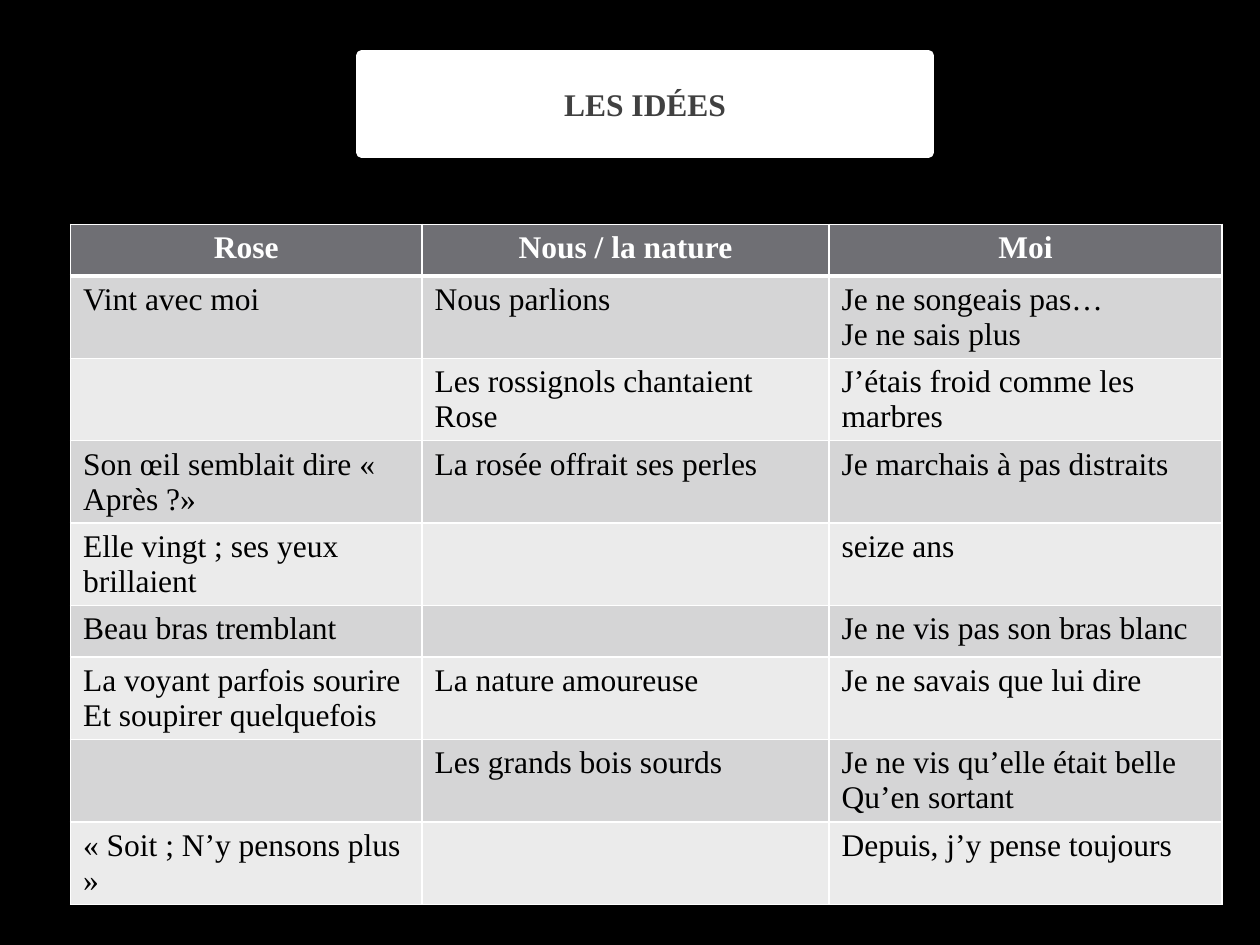
from lxml.etree import SubElement
from pptx import Presentation
from pptx.dml.color import RGBColor
from pptx.enum.text import MSO_ANCHOR, PP_ALIGN
from pptx.oxml.ns import qn
from pptx.util import Inches, Pt

TITLE = "LES IDÉES"
# A line feed starts a paragraph, a vertical tab breaks a line
ROWS = [
    ("Rose", "Nous / la nature", "Moi"),
    ("Vint avec moi", "Nous parlions", "Je ne songeais pas… \vJe ne sais plus"),
    ("", "Les rossignols chantaient Rose", "J’étais froid comme les marbres"),
    ("Son œil semblait dire « Après ?»", "La rosée offrait ses perles",
     "Je marchais à pas distraits"),
    ("Elle vingt ; ses yeux brillaient", "", "seize ans"),
    ("Beau bras tremblant", "", "Je ne vis pas son bras blanc"),
    ("La voyant parfois sourire\nEt soupirer quelquefois", "La nature amoureuse",
     "Je ne savais que lui dire"),
    ("", "Les grands bois sourds", "Je ne vis qu’elle était belle \vQu’en sortant"),
    ("« Soit ; N’y pensons plus »", "", "Depuis, j’y pense toujours"),
]
COLUMN_WIDTHS = (2.79, 3.23, 3.12)
ROW_HEIGHT = 0.41

BLACK = RGBColor(0x00, 0x00, 0x00)
WHITE = RGBColor(0xFF, 0xFF, 0xFF)
TITLE_GREY = RGBColor(0x40, 0x40, 0x40)
HEADER_GREY = RGBColor(0x6F, 0x6F, 0x74)
BANDS = (RGBColor(0xEB, 0xEB, 0xEB), RGBColor(0xD5, 0xD5, 0xD6))
FONT = {"name": "Times New Roman", "size": Pt(18)}


def format_text(frame, color, bold, align):
    for para in frame.paragraphs:
        para.alignment = align
        for name, value in {**FONT, "bold": bold}.items():
            setattr(para.font, name, value)
        para.font.color.rgb = color
        for span in para.runs:
            for name, value in {**FONT, "bold": bold}.items():
                setattr(span.font, name, value)
            span.font.color.rgb = color


def add_borders(cell, top, bottom):
    properties = cell._tc.get_or_add_tcPr()
    for side, width in (("L", 1), ("R", 1), ("T", top), ("B", bottom)):
        line = SubElement(properties, qn(f"a:ln{side}"), w=str(Pt(width)))
        fill = SubElement(line, qn("a:solidFill"))
        SubElement(fill, qn("a:srgbClr"), val=str(WHITE))


def add_title(page):
    box = page.shapes.title
    box.left, box.top, box.width, box.height = map(Inches, (2.87, 0.44, 4.5, 0.77))
    box.fill.solid()
    box.fill.fore_color.rgb = WHITE
    box.line.color.rgb = WHITE
    box.line.width = Pt(6)
    frame = box.text_frame
    frame.text = TITLE
    frame.vertical_anchor = MSO_ANCHOR.MIDDLE
    frame.paragraphs[0].space_before = Pt(4)
    format_text(frame, TITLE_GREY, True, PP_ALIGN.CENTER)


def add_ideas_table(page):
    table = page.shapes.add_table(
        len(ROWS), len(COLUMN_WIDTHS), Inches(0.56), Inches(1.78),
        Inches(sum(COLUMN_WIDTHS)), Inches(ROW_HEIGHT * len(ROWS))).table
    for column, width in zip(table.columns, COLUMN_WIDTHS):
        column.width = Inches(width)
    for r, texts in enumerate(ROWS):
        table.rows[r].height = Inches(ROW_HEIGHT)
        header = r == 0
        for c, text in enumerate(texts):
            cell = table.cell(r, c)
            add_borders(cell, top=3 if r == 1 else 1, bottom=3 if header else 1)
            cell.fill.solid()
            cell.fill.fore_color.rgb = HEADER_GREY if header else BANDS[r % 2]
            cell.text = text
            format_text(cell.text_frame, WHITE if header else BLACK, header,
                        PP_ALIGN.CENTER if header else PP_ALIGN.LEFT)


def main():
    deck = Presentation()
    deck.slide_width, deck.slide_height = Inches(10), Inches(7.5)
    page = deck.slides.add_slide(deck.slide_layouts[5])
    page.background.fill.solid()
    page.background.fill.fore_color.rgb = BLACK
    add_title(page)
    add_ideas_table(page)
    deck.save("out.pptx")


if __name__ == "__main__":
    main()
